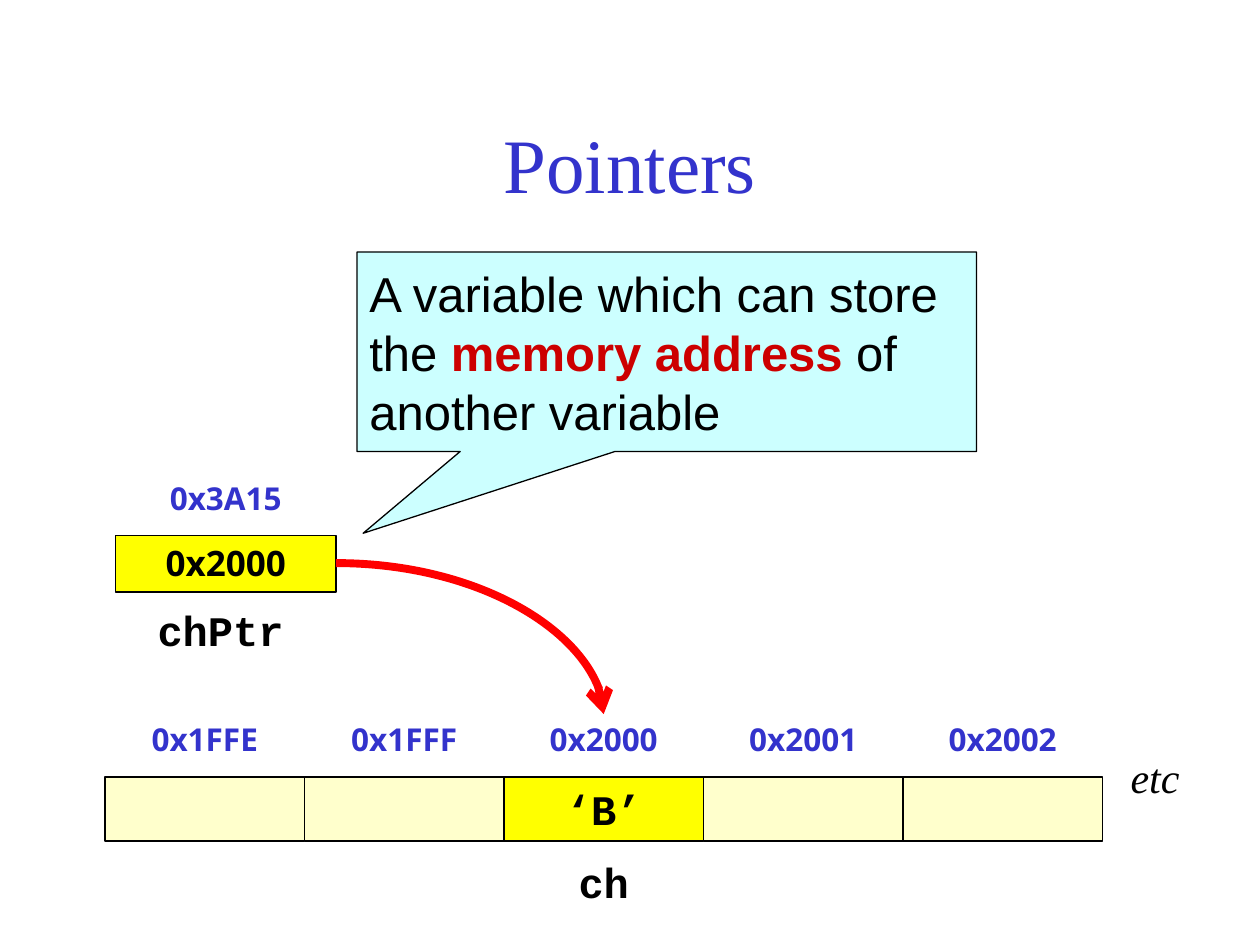
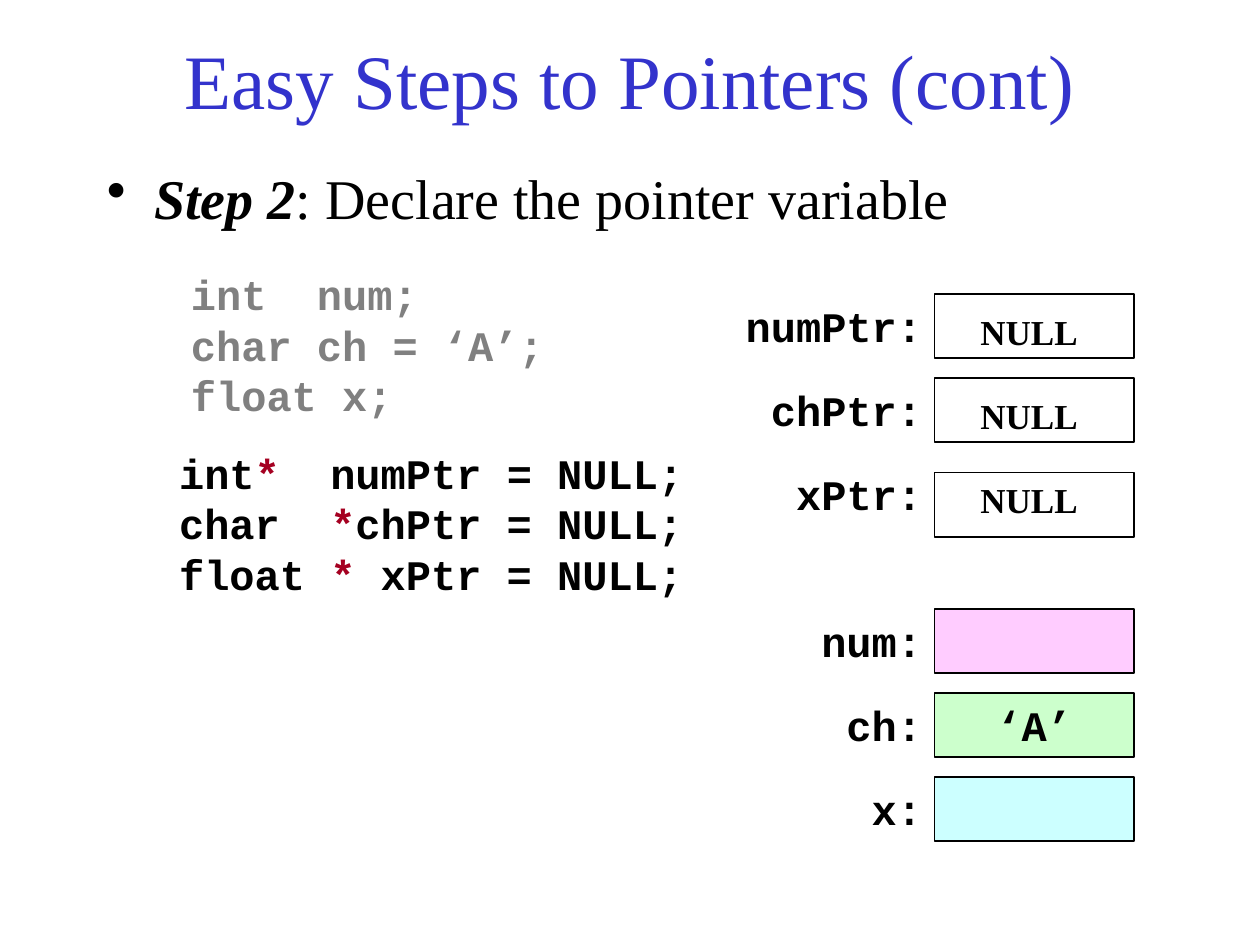
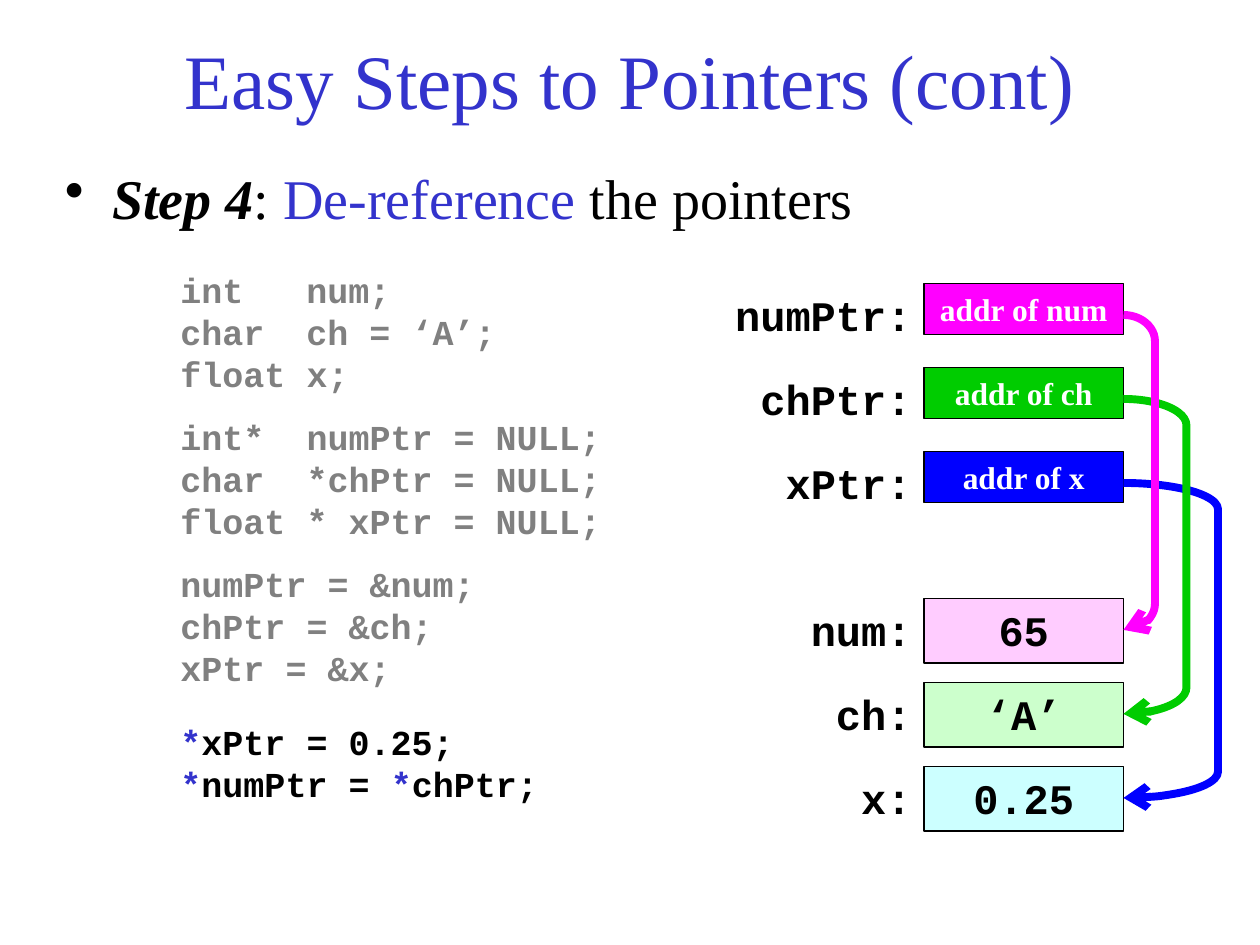
import pptx
import pptx.dml.color
import pptx.enum.shapes
import pptx.enum.text
import pptx.oxml.ns
import pptx.util
from lxml import etree

SHAPE = pptx.enum.shapes.MSO_SHAPE
ALIGN = {
    "l": pptx.enum.text.PP_ALIGN.LEFT,
    "c": pptx.enum.text.PP_ALIGN.CENTER,
    "r": pptx.enum.text.PP_ALIGN.RIGHT,
}
COLORS = {
    "white": "FFFFFF", "black": "000000", "gray": "808080", "blue": "3333CC",
    "yellow": "FFFF00", "cream": "FFFFCC", "pink": "FFCCFF", "mint": "CCFFCC",
    "ice": "CCFFFF", "red": "FF0000", "crimson": "CC0000", "maroon": "A50021",
    "magenta": "FF00FF", "green": "00CC00", "pure_blue": "0000FF",
}
SERIF, MONO, SANS, ARIAL = "Times New Roman", "Courier New", "Open Sans", "Arial"
CELL_W, CELL_H, LABEL_H, ROW = 152, 49, 48, 64


def px(n):
    return pptx.util.Emu(n * 9525)


def rgb(name):
    return pptx.dml.color.RGBColor.from_string(COLORS[name])


def sub(parent, tag, **attrs):
    return etree.SubElement(parent, pptx.oxml.ns.qn(tag), **attrs)


class Deck:
    """Holds the shared style and draws on the current slide."""

    def __init__(self):
        self.prs = pptx.Presentation()
        self.prs.slide_width, self.prs.slide_height = px(960), px(720)
        self.s = None

    def slide(self, title, top=0):
        self.s = self.prs.slides.add_slide(self.prs.slide_layouts[6])
        self.text(72, top, 816, 120, [title], 44, SERIF, "blue", middle=True)

    def put_text(self, sp, paras, size, font, color="black", align="c",
                 bold=False, italic=False, middle=False, bullet=False):
        tf = sp.text_frame
        tf.word_wrap = True
        anchor = pptx.enum.text.MSO_ANCHOR
        tf.vertical_anchor = anchor.MIDDLE if middle else anchor.TOP
        for i, runs in enumerate(paras):
            p = tf.add_paragraph() if i else tf.paragraphs[0]
            p.alignment = ALIGN[align]
            if bullet:
                pPr = p._p.get_or_add_pPr()
                pPr.set("marL", str(px(36)))
                pPr.set("indent", str(px(-36)))
                sub(pPr, "a:buChar", char="•")
            p.font.size, p.font.name = pptx.util.Pt(size), font
            p.font.bold, p.font.italic = bold, italic
            p.font.color.rgb = rgb(color)
            for run in [(runs, {})] if isinstance(runs, str) else runs:
                r = p.add_run()
                r.text, look = run
                if "color" in look:
                    r.font.color.rgb = rgb(look["color"])
                if "bold" in look:
                    r.font.bold = look["bold"]
                if "italic" in look:
                    r.font.italic = look["italic"]

    def text(self, x, y, w, h, paras, size, font, color="black", **style):
        sp = self.s.shapes.add_textbox(px(x), px(y), px(w), px(h))
        self.put_text(sp, paras, size, font, color, **style)

    def box(self, x, y, w, h, fill=None, line=1, kind=SHAPE.RECTANGLE):
        sp = self.s.shapes.add_shape(kind, px(x), px(y), px(w), px(h))
        sp.shadow.inherit = False
        if fill:
            sp.fill.solid()
            sp.fill.fore_color.rgb = rgb(fill)
        else:
            sp.fill.background()
        if line:
            sp.line.color.rgb = rgb("black")
            sp.line.width = pptx.util.Pt(line)
        else:
            sp.line.fill.background()
        return sp

    def cell(self, x, y, fill=None, value=None):
        sp = self.box(x, y, CELL_W, CELL_H, fill)
        if value:
            self.put_text(sp, [value], 24, MONO, bold=True)

    def code(self, x, y, w, h, paras, size, color="black", align="l"):
        sp = self.box(x, y, w, h, "white", line=0)
        self.put_text(sp, paras, size, MONO, color, align=align, bold=True)

    def address(self, x, y, value):
        self.text(x, y, CELL_W, 38, [value], 18, SANS, "blue", bold=True)

    def step(self, x, w, runs):
        self.text(x, 120, w, 64, [runs], 32, SERIF, align="l", bullet=True)

    def names(self, right, top):
        widths = {"numPtr:": 160, "chPtr:": 144, "xPtr:": 128}
        for i, (name, w) in enumerate(widths.items()):
            self.code(right - w, top + i * ROW, w, LABEL_H, [name], 24, align="r")
        for i, name in enumerate(["num:", "ch:", "x:"]):
            self.code(right - 104, top + 240 + i * ROW, 104, LABEL_H, [name], 24, align="r")

    def variables(self, x, y, values):
        for i, (fill, value) in enumerate(zip(["pink", "mint", "ice"], values)):
            self.cell(x, y + i * ROW, fill, value)

    def arrow(self, sp, color):
        sp.line.color.rgb = rgb(color)
        sp.line.width = pptx.util.Pt(4.5)
        sub(sp.line._get_or_add_ln(), "a:tailEnd", type="arrow")

    def curve(self, x1, y1, x2, y2, color):
        kind = pptx.enum.shapes.MSO_CONNECTOR.CURVE
        sp = self.s.shapes.add_connector(kind, px(x1), px(y1), px(x2), px(y2))
        spPr = sp._element.spPr
        spPr.find(pptx.oxml.ns.qn("a:prstGeom")).set("prst", "curvedConnector2")
        self.arrow(sp, color)
        sub(spPr, "a:effectLst")

    def bracket(self, x, y, w, color):
        sp = self.box(x, y, w, 240, kind=SHAPE.RIGHT_BRACKET)
        sp.adjustments[0] = 20 / w
        self.arrow(sp, color)


def pointers(d):
    d.slide("Pointers", 64)
    d.code(392, 648, 136, LABEL_H, ["ch"], 24, align="c")
    for i, value in enumerate(["0x1FFE", "0x1FFF", "0x2000", "0x2001", "0x2002"]):
        x = 80 + i * CELL_W
        d.address(x, 544, value)
        if value == "0x2000":
            d.cell(x, 592, "yellow", "‘B’")
        else:
            d.cell(x, 592, "cream")
    d.text(840, 568, 80, LABEL_H, ["etc"], 24, SERIF, italic=True)

    d.put_text(d.box(88, 408, 168, 43, "yellow"), ["0x2000"], 20, SANS, bold=True)
    d.code(64, 456, 208, LABEL_H, ["chPtr"], 24, align="c")
    d.curve(256, 429, 460, 544, "red")
    d.address(96, 360, "0x3A15")

    sp = d.box(272, 192, 472, 152, "ice", 0.75, SHAPE.RECTANGULAR_CALLOUT)
    sp.adjustments[0], sp.adjustments[1] = -0.49, 0.91
    definition = [
        ("A variable which can store the ", {}),
        ("memory address", {"color": "crimson", "bold": True}),
        (" of another variable", {}),
    ]
    d.put_text(sp, [definition], 28, ARIAL, align="l", middle=True)


def declare(d):
    d.slide("Easy Steps to Pointers (cont)")
    d.step(72, 840, [("Step 2", {"bold": True, "italic": True}),
                     (": Declare the pointer variable", {})])
    star = {"color": "maroon"}
    d.code(127, 336, 465, 125, [
        [("int", {}), ("* ", star), (" numPtr = NULL;", {})],
        [("char  ", {}), ("*", star), ("chPtr = NULL;", {})],
        [("float ", {}), ("*", star), (" xPtr = NULL;", {})],
    ], 24)
    d.code(136, 200, 416, 125, ["int\tnum;", "char\tch = ‘A’;", "float x;"], 24, "gray")
    d.names(712, 224)
    d.variables(712, 464, [None, "‘A’", None])
    for y, text_y in [(224, 232), (288, 296), (360, 360)]:
        d.cell(712, y)
        d.text(728, text_y, 112, 41, ["NULL"], 20, SERIF, bold=True)


def dereference(d):
    d.slide("Easy Steps to Pointers (cont)")
    d.step(40, 872, [("Step 4", {"bold": True, "italic": True}), (": ", {}),
                     ("De-reference", {"color": "blue"}), (" the pointers", {})])
    blocks = [
        (200, ["int\tnum;", "char\tch = ‘A’;", "float x;"]),
        (312, ["int*  numPtr = NULL;", "char  *chPtr = NULL;", "float * xPtr = NULL;"]),
        (424, ["numPtr = &num;", "chPtr = &ch;", "xPtr = &x;"]),
    ]
    for y, lines in blocks:
        d.code(128, y, 736, 106, lines, 20, "gray")
    star = ("*", {"color": "blue"})
    d.code(128, 544, 736, 74, [
        [star, ("xPtr = 0.25;", {})],
        [star, ("numPtr = ", {}), star, ("chPtr;", {})],
    ], 20)
    d.names(704, 216)
    d.variables(704, 456, ["65", "‘A’", "0.25"])
    targets = [("num", "magenta"), ("ch", "green"), ("x", "pure_blue")]
    for i, (name, color) in enumerate(targets):
        sp = d.box(704, 216 + i * ROW, CELL_W, 39, color)
        d.put_text(sp, [f"addr of {name}"], 18, SERIF, "white", bold=True)
    for i, (name, color) in reversed(list(enumerate(targets))):
        d.bracket(856, 240 + i * ROW, 24 * (i + 1), color)


def main():
    d = Deck()
    pointers(d)
    declare(d)
    dereference(d)
    d.prs.save("out.pptx")


if __name__ == "__main__":
    main()
